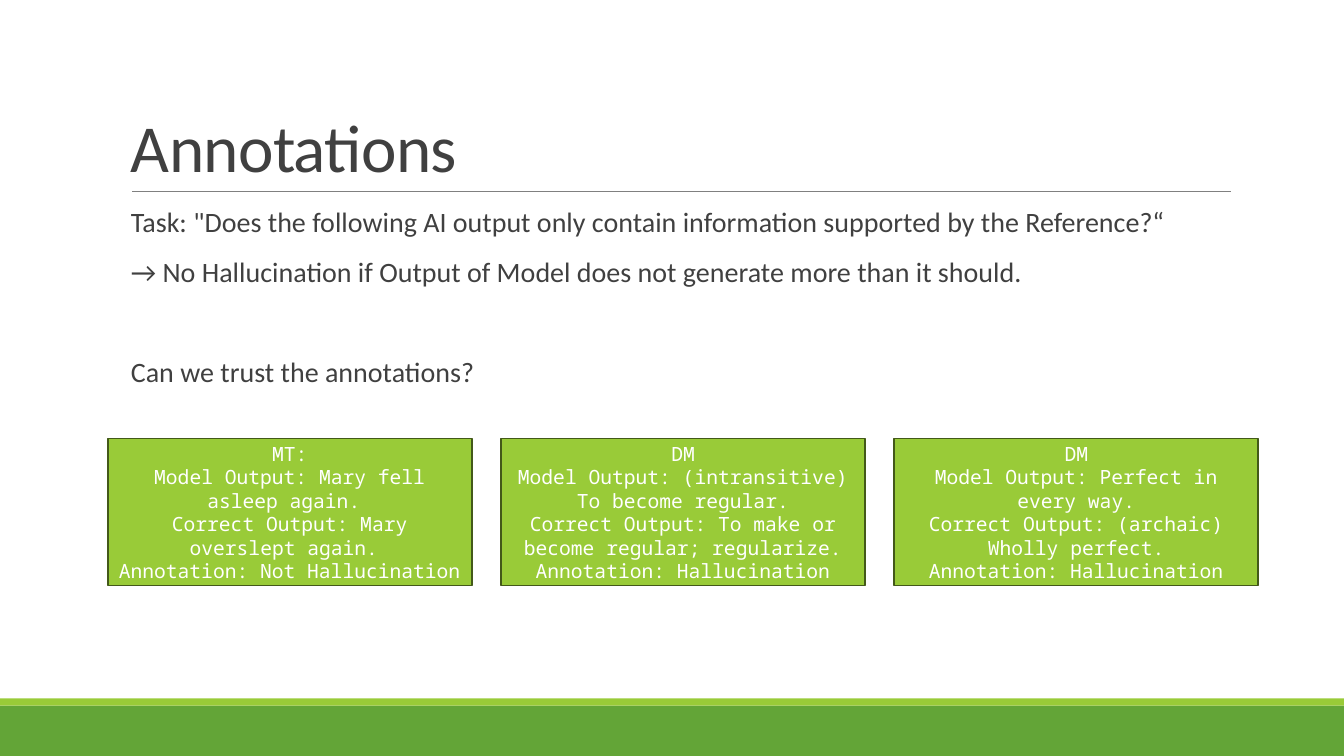
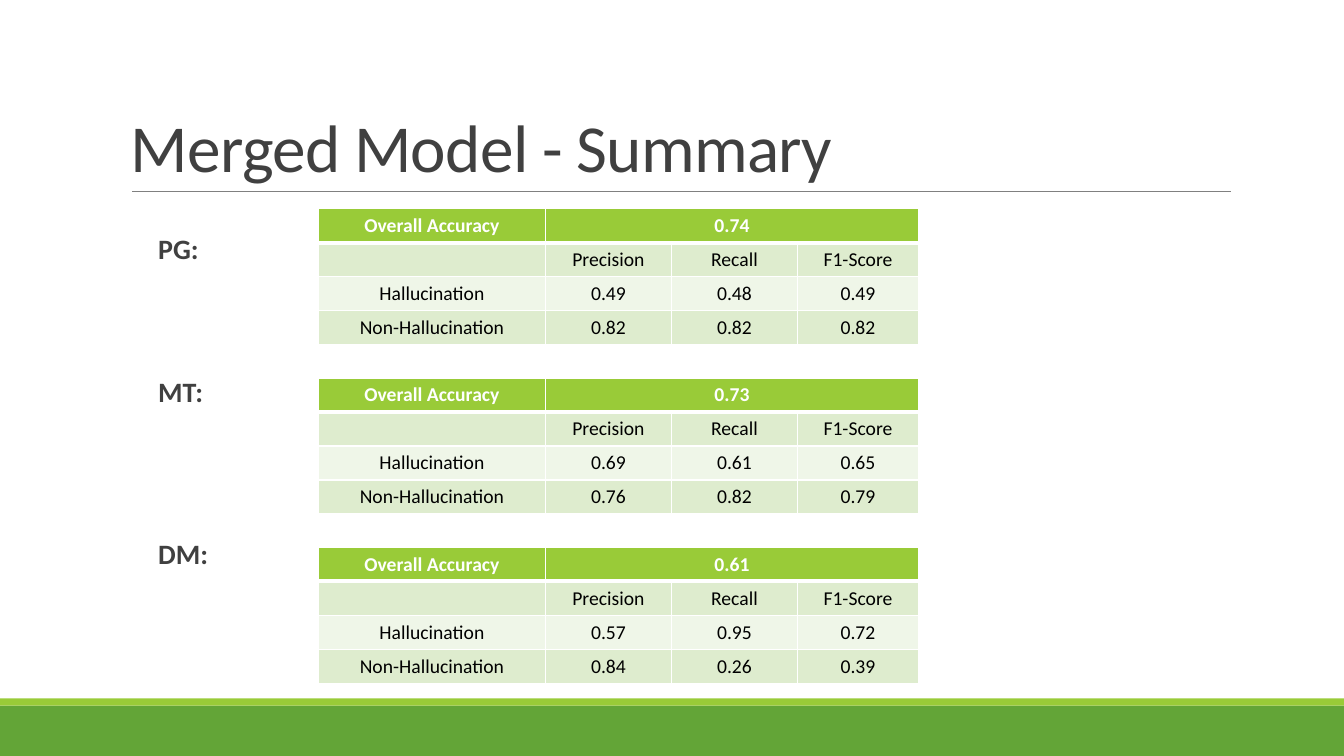
"""Build two slides on annotation quality and merged model results."""
from lxml import etree
from pptx import Presentation
from pptx.dml.color import RGBColor
from pptx.enum.shapes import MSO_CONNECTOR, MSO_SHAPE
from pptx.enum.text import MSO_ANCHOR, PP_ALIGN
from pptx.oxml.ns import qn
from pptx.util import Inches, Pt

RECTANGLE = MSO_SHAPE.RECTANGLE
STRAIGHT = MSO_CONNECTOR.STRAIGHT
LEFT, CENTER = PP_ALIGN.LEFT, PP_ALIGN.CENTER
TOP, MIDDLE, BOTTOM = MSO_ANCHOR.TOP, MSO_ANCHOR.MIDDLE, MSO_ANCHOR.BOTTOM

LIME, GREEN, DARK_GREEN = "99CB38", "63A537", "435919"
PALE, PALER = "DEECCE", "EFF6E8"
INK, GRAY, BLACK, WHITE = "404040", "808080", "000000", "FFFFFF"
SANS, MONO = "Calibri", "Noto Sans Mono"

BANDS = [(7, 0.5, GREEN), (6.93, 0.07, LIME)]

ANNOTATIONS_TITLE = "Annotations"
STATEMENTS = [
    ("Task: \"Does the following AI output only contain information supported by the Reference?“", 0),
    ("→ No Hallucination if Output of Model does not generate more than it should.", 12),
    ("Can we trust the annotations?", 48),
]
EXAMPLES = [
    ["MT:", "Model Output: Mary fell asleep again. ",
     "Correct Output: Mary overslept again. ", "Annotation: Not Hallucination"],
    ["DM", "Model Output: (intransitive) To become regular.",
     "Correct Output: To make or become regular; regularize.", "Annotation: Hallucination"],
    ["DM", "Model Output: Perfect in every way.",
     "Correct Output: (archaic) Wholly perfect.", "Annotation: Hallucination"],
]
EXAMPLE_LEFT, EXAMPLE_PITCH = 1.07, 3.9

SUMMARY_TITLE = "Merged Model - Summary"
METRICS = ["Precision", "Recall", "F1-Score"]
RESULTS = [
    ("PG:", 2.25, "0.74", ["0.49", "0.48", "0.49"], ["0.82", "0.82", "0.82"]),
    ("MT:", 3.67, "0.73", ["0.69", "0.61", "0.65"], ["0.76", "0.82", "0.79"]),
    ("DM:", 5.27, "0.61", ["0.57", "0.95", "0.72"], ["0.84", "0.26", "0.39"]),
]
COLUMN_WIDTHS = [2.25, 1.25, 1.25, 1.2]
TABLE_LEFT, TABLE_TOP, TABLE_PITCH, TABLE_HEIGHT = 3.16, 2.07, 1.68, 1.35
ROW_FILLS = [LIME, PALE, PALER, PALE]


def rgb(color):
    return RGBColor.from_string(color)


def write(frame, lines, size, color, font=SANS, bold=False, align=LEFT, anchor=TOP):
    frame.word_wrap = True
    frame.vertical_anchor = anchor
    frame.text = "\n".join(lines)
    for paragraph in frame.paragraphs:
        paragraph.alignment = align
        for run in paragraph.runs:
            run.font.name = font
            run.font.size = Pt(size)
            run.font.bold = bold
            run.font.color.rgb = rgb(color)


def add_text(slide, left, top, width, height, lines, size, **style):
    box = slide.shapes.add_textbox(Inches(left), Inches(top), Inches(width), Inches(height))
    write(box.text_frame, lines, size, INK, **style)
    return box.text_frame


def add_rectangle(slide, left, top, width, height, fill, outline=None):
    rectangle = slide.shapes.add_shape(
        RECTANGLE, Inches(left), Inches(top), Inches(width), Inches(height))
    rectangle.shadow.inherit = False
    rectangle.fill.solid()
    rectangle.fill.fore_color.rgb = rgb(fill)
    if outline:
        rectangle.line.color.rgb = rgb(outline)
        rectangle.line.width = Pt(1.25)
    else:
        rectangle.line.fill.background()
    return rectangle


def add_slide(deck, title):
    slide = deck.slides.add_slide(deck.slide_layouts[6])
    for top, height, color in BANDS:
        add_rectangle(slide, 0, top, 13.33, height, color)
    rule = slide.shapes.add_connector(
        STRAIGHT, Inches(1.31), Inches(1.9), Inches(12.21), Inches(1.9))
    rule.line.color.rgb = rgb(GRAY)
    rule.line.width = Pt(0.5)
    etree.SubElement(rule._element.spPr, qn("a:effectLst"))
    heading = add_text(slide, 1.2, 0.31, 11, 1.59, [title], 48, anchor=BOTTOM).paragraphs[0]
    heading.line_spacing = 0.85
    heading.runs[0]._r.get_or_add_rPr().set("spc", "-50")
    return slide


def add_border(cell, side, width):
    border = etree.SubElement(
        cell._tc.get_or_add_tcPr(), qn(f"a:ln{side}"), w=str(Pt(width)))
    fill = etree.SubElement(border, qn("a:solidFill"))
    etree.SubElement(fill, qn("a:srgbClr"), val=WHITE)


def add_scores(slide, top, accuracy, hallucination, non_hallucination):
    rows = [
        ["Overall Accuracy", accuracy, "", ""],
        ["", *METRICS],
        ["Hallucination", *hallucination],
        ["Non-Hallucination", *non_hallucination],
    ]
    table = slide.shapes.add_table(
        len(rows), len(COLUMN_WIDTHS), Inches(TABLE_LEFT), Inches(top),
        Inches(sum(COLUMN_WIDTHS)), Inches(TABLE_HEIGHT)).table
    for column, width in zip(table.columns, COLUMN_WIDTHS):
        column.width = Inches(width)
    table.cell(0, 1).merge(table.cell(0, 3))
    for r, values in enumerate(rows):
        header = r == 0
        for c, value in enumerate(values):
            cell = table.cell(r, c)
            write(cell.text_frame, [value], 14, WHITE if header else BLACK,
                  bold=header, align=CENTER)
            if not value:
                paragraph = cell.text_frame.paragraphs[0]
                etree.SubElement(paragraph._p, qn("a:endParaRPr"), sz="1400")
            widths = {"L": 1, "R": 1, "T": 3 if r == 1 else 1, "B": 3 if header else 1}
            for side, width in widths.items():
                add_border(cell, side, width)
            cell.fill.solid()
            cell.fill.fore_color.rgb = rgb(ROW_FILLS[r])


def build_annotations(deck):
    slide = add_slide(deck, ANNOTATIONS_TITLE)
    statements = add_text(slide, 1.2, 2.02, 11, 2.1, [text for text, _ in STATEMENTS], 20)
    statements.margin_right = 0
    for paragraph, (_, space) in zip(statements.paragraphs, STATEMENTS):
        paragraph.line_spacing = 0.9
        paragraph.space_before = Pt(space)
        paragraph.space_after = Pt(2)
    for i, lines in enumerate(EXAMPLES):
        example = add_rectangle(
            slide, EXAMPLE_LEFT + i * EXAMPLE_PITCH, 4.35, 3.61, 1.46, LIME, DARK_GREEN)
        write(example.text_frame, lines, 14, WHITE, font=MONO, align=CENTER, anchor=MIDDLE)


def build_summary(deck):
    slide = add_slide(deck, SUMMARY_TITLE)
    for i, (task, task_top, *scores) in enumerate(RESULTS):
        add_scores(slide, TABLE_TOP + i * TABLE_PITCH, *scores)
        add_text(slide, 1.47, task_top, 1.6, 0.44, [task], 20, bold=True)


def main():
    deck = Presentation()
    deck.slide_width, deck.slide_height = Inches(13.33), Inches(7.5)
    build_annotations(deck)
    build_summary(deck)
    deck.save("out.pptx")


if __name__ == "__main__":
    main()
